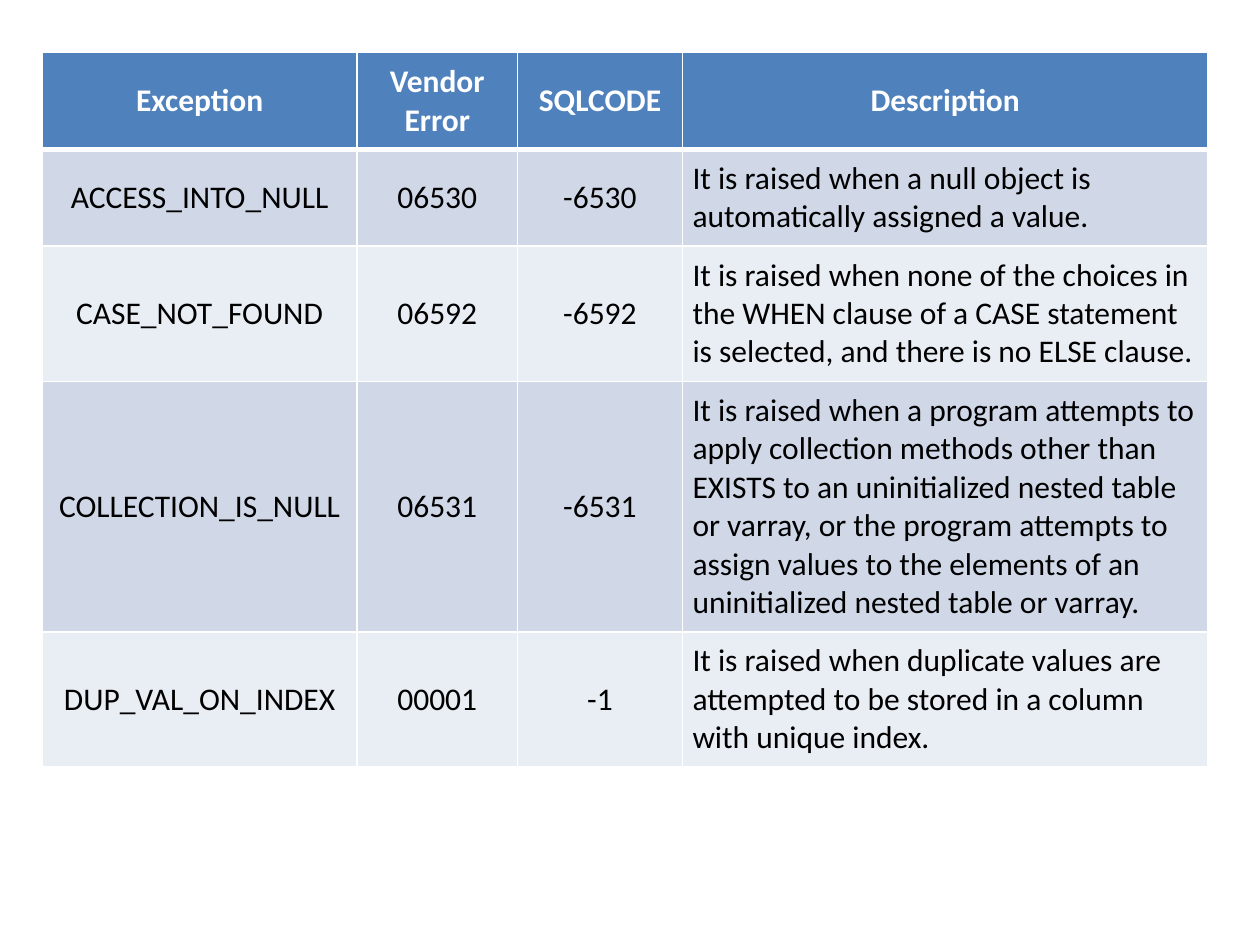
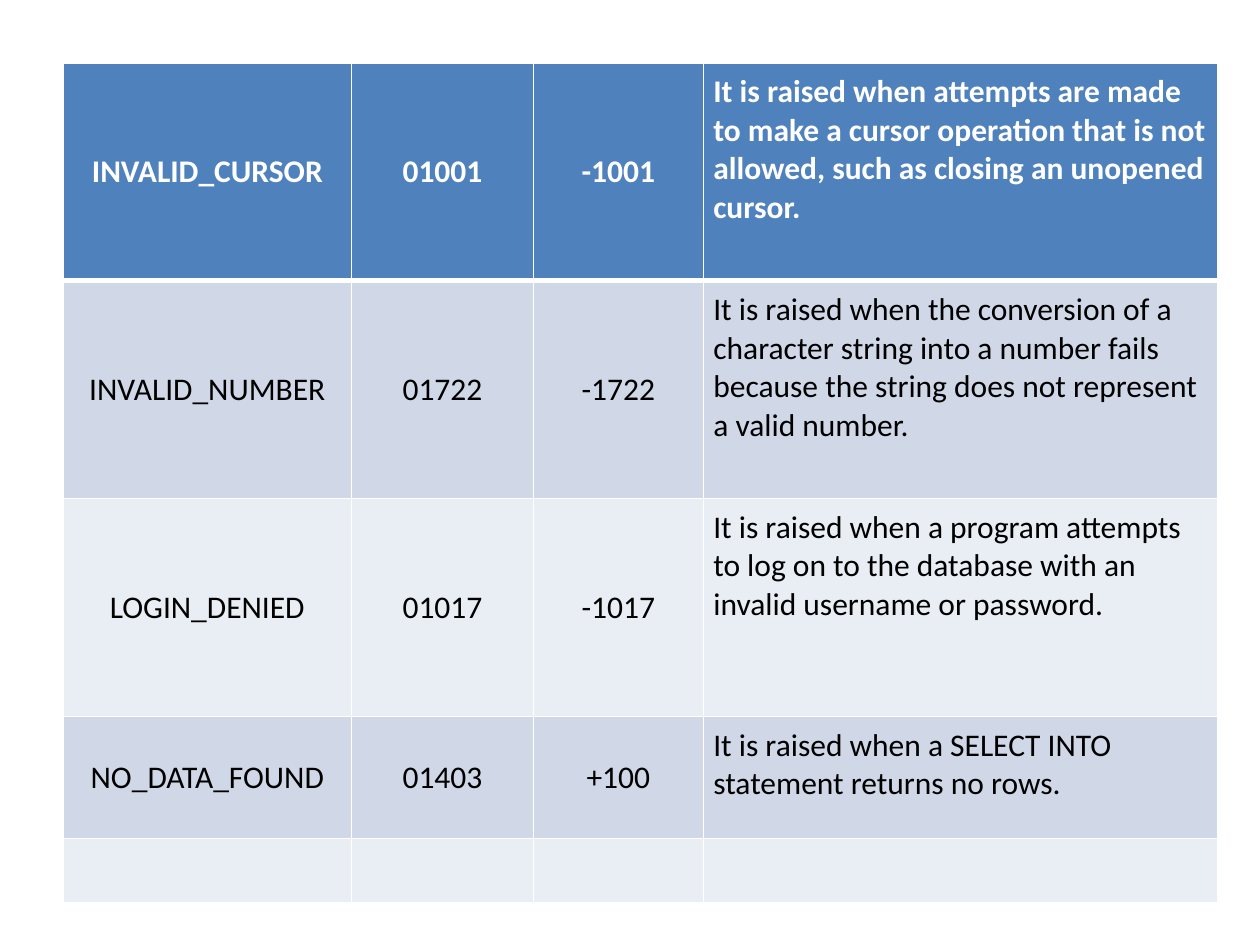
from lxml.etree import SubElement as Sub
from pptx import Presentation
from pptx.dml.color import RGBColor as RGB
from pptx.enum.text import MSO_ANCHOR as Anchor, PP_ALIGN as Align
from pptx.oxml.ns import qn
from pptx.util import Cm, Pt

WHITE = RGB(0xFF, 0xFF, 0xFF)
BLACK = RGB(0, 0, 0)
HEAD = RGB(0x4F, 0x81, 0xBD)
BANDS = RGB(0xE9, 0xED, 0xF4), RGB(0xD0, 0xD8, 0xE8)
FONT = "Calibri"
SIZE = Pt(18)
PAD = Cm(0.2)
THIN, THICK = Pt(1), Pt(3)


def edge(cell, row):
    """Draw white borders, with a thick rule below the first row."""
    sides = {
        "L": THIN,
        "R": THIN,
        "T": THICK if row == 1 else THIN,
        "B": THICK if row == 0 else THIN,
    }
    props = cell._tc.get_or_add_tcPr()
    for pos, (side, width) in enumerate(sides.items()):
        line = Sub(props, qn(f"a:ln{side}"), w=str(width))
        fill = Sub(line, qn("a:solidFill"))
        Sub(fill, qn("a:srgbClr"), val=str(WHITE))
        props.insert(pos, line)


def style(cell, row, last):
    """Format one cell by its row and by whether it is in the last column."""
    head = row == 0
    cell.fill.solid()
    cell.fill.fore_color.rgb = HEAD if head else BANDS[row % 2]
    cell.margin_left = cell.margin_right = PAD
    cell.margin_top = cell.margin_bottom = PAD
    cell.vertical_anchor = Anchor.TOP if last else Anchor.MIDDLE
    for para in cell.text_frame.paragraphs:
        para.alignment = Align.LEFT if last else Align.CENTER
        for run in para.runs:
            font = run.font
            font.name, font.size, font.bold = FONT, SIZE, head
            font.color.rgb = WHITE if head else BLACK
    edge(cell, row)


def grid(slide, left, top, widths, heights, rows):
    """Place a banded table and return it."""
    table = slide.shapes.add_table(
        len(heights), len(widths), Cm(left), Cm(top),
        Cm(sum(widths)), Cm(sum(heights)),
    ).table
    for col, width in zip(table.columns, widths):
        col.width = Cm(width)
    for line, height in zip(table.rows, heights):
        line.height = Cm(height)
    for r, texts in enumerate(rows):
        for c, text in enumerate(texts):
            cell = table.cell(r, c)
            cell.text_frame.text = text
            style(cell, r, c == len(widths) - 1)
    return table


FIRST = [
    ("Exception", "Vendor Error", "SQLCODE", "Description"),
    ("ACCESS_INTO_NULL", "06530", "-6530",
     "It is raised when a null object is automatically assigned a value."),
    ("CASE_NOT_FOUND", "06592", "-6592",
     "It is raised when none of the choices in the WHEN clause of a CASE "
     "statement is selected, and there is no ELSE clause."),
    ("COLLECTION_IS_NULL", "06531", "-6531",
     "It is raised when a program attempts to apply collection methods other "
     "than EXISTS to an uninitialized nested table or varray, or the program "
     "attempts to assign values to the elements of an uninitialized nested "
     "table or varray."),
    ("DUP_VAL_ON_INDEX", "00001", "-1",
     "It is raised when duplicate values are attempted to be stored in a "
     "column with unique index."),
]
SECOND = [
    ("INVALID_CURSOR", "01001", "-1001",
     "It is raised when attempts are made to make a cursor operation that is "
     "not allowed, such as closing an unopened cursor."),
    ("INVALID_NUMBER", "01722", "-1722",
     "It is raised when the conversion of a character string into a number "
     "fails because the string does not represent a valid number."),
    ("LOGIN_DENIED", "01017", "-1017",
     "It is raised when a program attempts to log on to the database with an "
     "invalid username or password."),
    ("NO_DATA_FOUND", "01403", "+100",
     "It is raised when a SELECT INTO statement returns no rows."),
    ("", "", "", ""),
]

deck = Presentation()
deck.slide_width, deck.slide_height = Cm(25.4), Cm(19.05)
blank = deck.slide_layouts[6]

table = grid(deck.slides.add_slide(blank), 0.85, 1.06,
             [6.35, 3.23, 3.33, 10.59], [1.95, 1.95, 2.72, 5.05, 2.72], FIRST)
title = table.cell(0, 3)
title.vertical_anchor = Anchor.MIDDLE
title.text_frame.paragraphs[0].alignment = Align.CENTER

grid(deck.slides.add_slide(blank), 1.27, 1.27,
     [5.82, 3.66, 3.43, 10.36], [4.39, 4.39, 4.39, 2.46, 1.3], SECOND)

deck.save("out.pptx")
